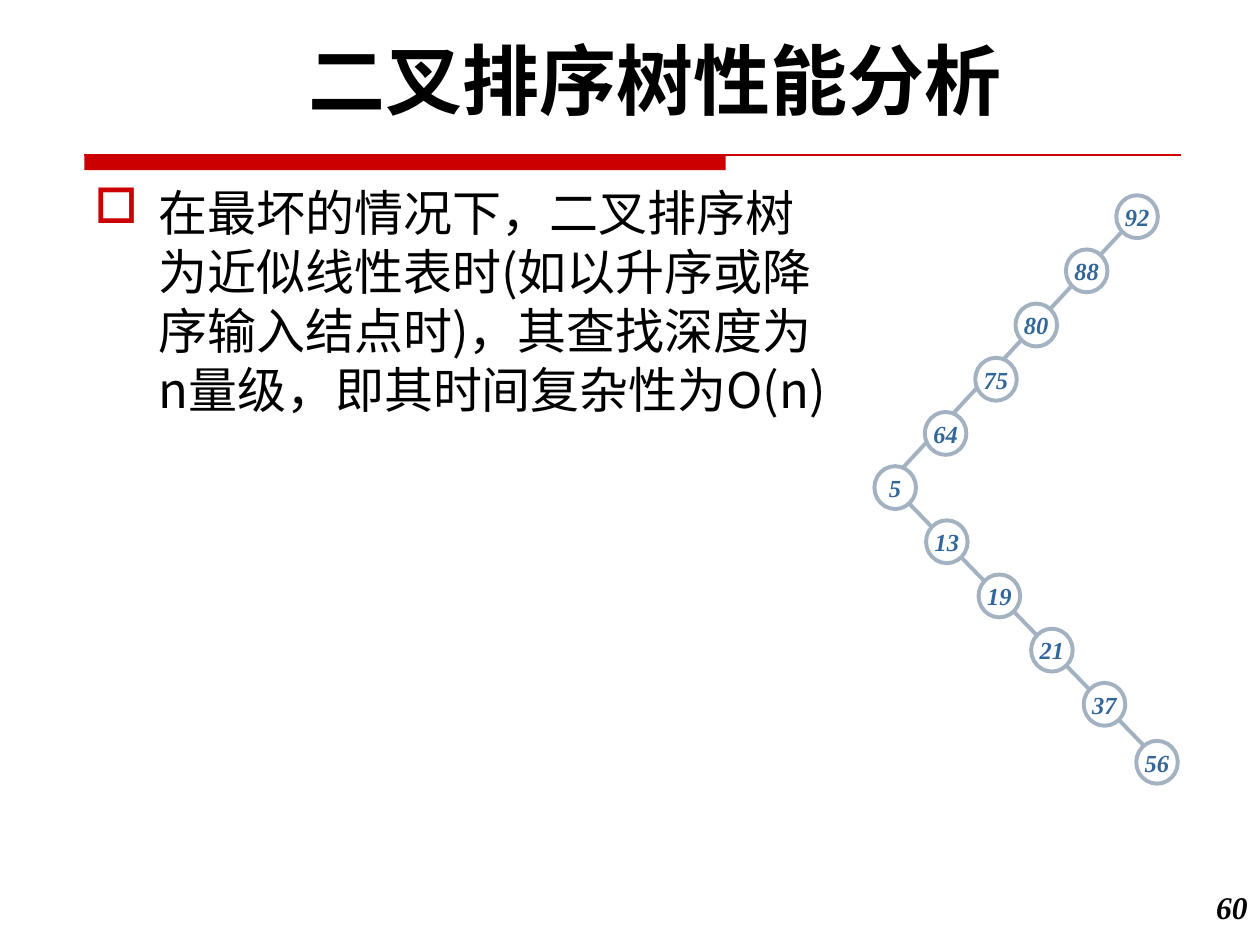
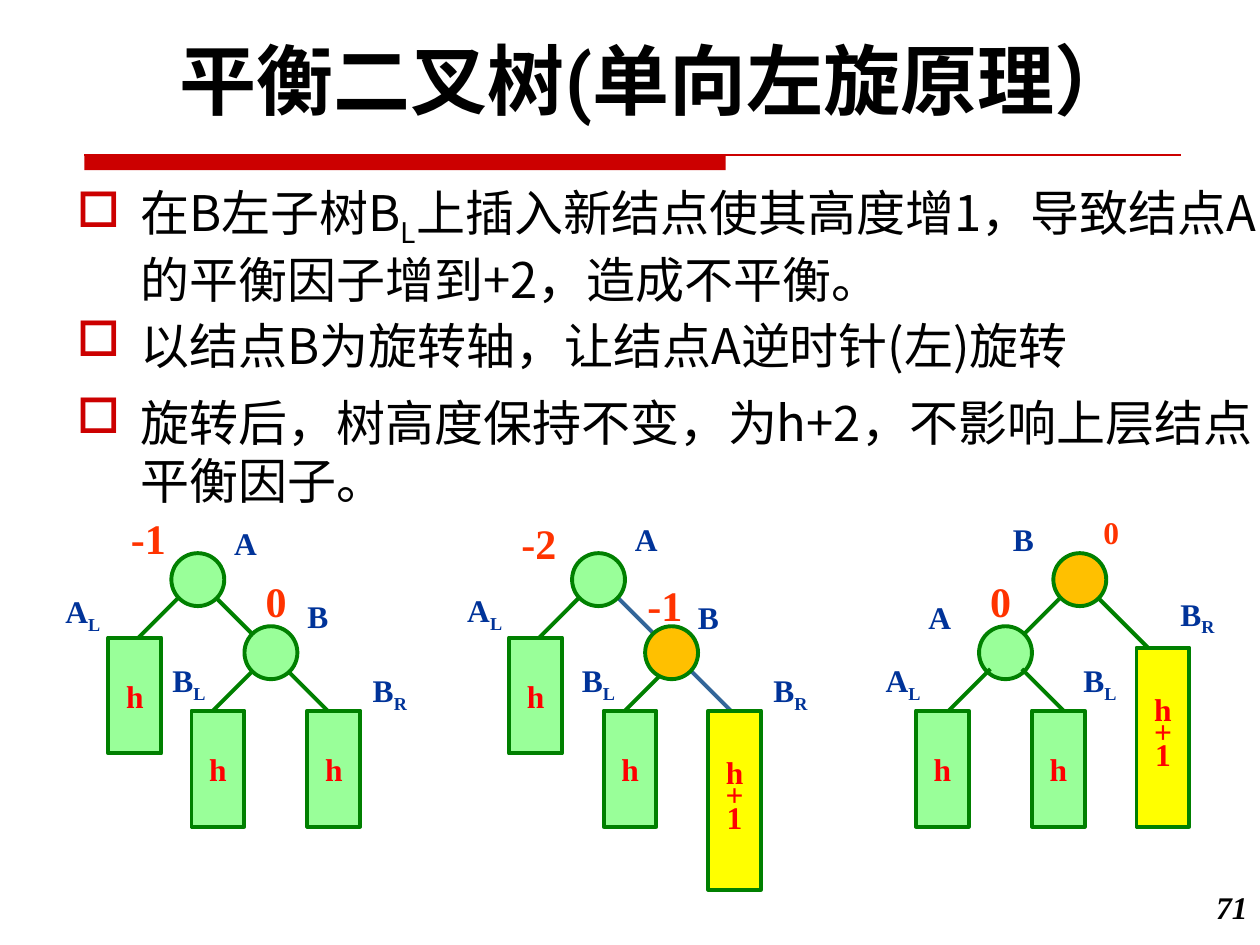
from lxml.etree import SubElement
from pptx import Presentation
from pptx.dml.color import RGBColor
from pptx.enum.shapes import MSO_CONNECTOR, MSO_SHAPE
from pptx.enum.text import MSO_ANCHOR, PP_ALIGN
from pptx.oxml.ns import qn
from pptx.util import Inches, Pt

RED = RGBColor(0xCC, 0x00, 0x00)
BLACK = RGBColor(0x00, 0x00, 0x00)
WHITE = RGBColor(0xFF, 0xFF, 0xFF)
GREY_BLUE = RGBColor(0xA3, 0xB2, 0xC1)
BLUE = RGBColor(0x33, 0x66, 0x99)
NAVY = RGBColor(0x00, 0x33, 0x99)
DARK_GREEN = RGBColor(0x00, 0x80, 0x00)
LIGHT_GREEN = RGBColor(0x99, 0xFF, 0x99)
ORANGE = RGBColor(0xFF, 0xC0, 0x00)
YELLOW = RGBColor(0xFF, 0xFF, 0x00)
SUBTREE_RED = RGBColor(0xFF, 0x00, 0x00)
FACTOR_RED = RGBColor(0xFF, 0x33, 0x00)

TITLE_FONT = "Roboto"
BODY_FONT = "Noto Sans CJK SC"
SERIF_FONT = "Times New Roman"

NODE_SIZE = 0.42
SUBTREE_HEIGHT = 0.92
TALL_SUBTREE_HEIGHT = 1.42

# Each chain is a list of (key, left, top) after its line (from x, y, to x, y).
DESCENDING_LINE = (8.94, 1.8, 7.01, 3.88)
DESCENDING_NODES = [(key, left, 1.55 + 0.43 * level) for level, (key, left) in enumerate(
    [("92", 8.86), ("88", 8.46), ("80", 8.06), ("75", 7.74), ("64", 7.34), ("5", 6.94)])]
ASCENDING_LINE = (7.18, 3.96, 9.09, 5.93)
ASCENDING_NODES = [(key, 7.35 + 0.417 * level, top) for level, (key, top) in enumerate(
    [("13", 4.13), ("19", 4.56), ("21", 4.99), ("37", 5.42), ("56", 5.88)])]

# Positions are relative to the tree's corner. Edges run at 45 degrees: (x, y, run, colour).
INSERTED_TREE = {
    "edges": [(1.27, 0.7, 0.5, DARK_GREEN), (1.85, 1.29, 0.5, DARK_GREEN),
              (1.02, 0.7, -0.42, DARK_GREEN), (1.6, 1.29, -0.42, DARK_GREEN)],
    "nodes": [(0.94, 0.37, LIGHT_GREEN), (1.52, 0.95, LIGHT_GREEN)],
    "subtrees": [(0.44, 1.04, "h"), (1.1, 1.62, "h"), (2.02, 1.62, "h")],
    "labels": [("A", 1.34, 0.09), ("B", 1.92, 0.67), ("BR", 2.44, 1.26),
               ("AL", 0, 0.63), ("BL", 0.85, 1.18)],
    "factors": [("-1", 0.52, 0, 24), ("0", 1.59, 0.5, 24)],
}
UNBALANCED_TREE = {
    "edges": [(1.77, 1.2, 0.5, BLUE), (1.77, 1.2, -0.42, DARK_GREEN),
              (1.01, 0.7, -0.42, DARK_GREEN), (1.18, 0.61, 0.5, BLUE)],
    "nodes": [(1.51, 0.95, ORANGE), (0.93, 0.37, LIGHT_GREEN)],
    "subtrees": [(1.18, 1.62, "h"), (0.43, 1.04, "h"), (2.01, 1.62, "h+1")],
    "labels": [("AL", 0, 0.62), ("A", 1.33, 0.06), ("B", 1.83, 0.68),
               ("BR", 2.43, 1.26), ("BL", 0.91, 1.18)],
    "factors": [("-2", 0.43, 0.04, 24), ("-1", 1.43, 0.53, 24)],
}
ROTATED_TREE = {
    "edges": [(1.68, 0.62, 0.5, DARK_GREEN), (1.51, 0.7, -0.42, DARK_GREEN)],
    "nodes": [(0.84, 0.95, LIGHT_GREEN), (1.43, 0.37, ORANGE)],
    "front_edges": [(0.93, 1.29, -0.42, DARK_GREEN), (1.18, 1.29, 0.5, DARK_GREEN)],
    "subtrees": [(0.34, 1.62, "h"), (1.26, 1.62, "h"), (2.09, 1.12, "h+1")],
    "labels": [("B", 1.01, 0.06), ("BR", 2.34, 0.65), ("A", 0.34, 0.68),
               ("AL", 0, 1.18), ("BL", 1.57, 1.18)],
    "factors": [("0", 0.83, 0.5, 24), ("0", 1.73, 0, 18)],
}


def add_run(paragraph, text, font_name, size, color, bold=False, italic=False, subscript=False):
    run = paragraph.add_run()
    run.text = text
    font = run.font
    font.name, font.size, font.bold, font.italic = font_name, Pt(size), bold, italic
    font.color.rgb = color
    properties = run._r.get_or_add_rPr()
    SubElement(properties, qn("a:ea")).set("typeface", font_name)
    if subscript:
        properties.set("baseline", "-25000")


def add_text_box(shapes, left, top, width, height, wrap=True, align=PP_ALIGN.LEFT):
    """Add an empty text box and return its text frame."""
    box = shapes.add_textbox(Inches(left), Inches(top), Inches(width), Inches(height))
    frame = box.text_frame
    frame.word_wrap = wrap
    frame.paragraphs[0].alignment = align
    return frame


def add_line(shapes, start_x, start_y, end_x, end_y, color, width=2.25):
    line = shapes.add_connector(MSO_CONNECTOR.STRAIGHT, Inches(start_x), Inches(start_y),
                                Inches(end_x), Inches(end_y))
    line.line.color.rgb = color
    line.line.width = Pt(width)
    SubElement(line._element.spPr, qn("a:effectLst"))


def add_figure(shapes, kind, left, top, width, height, fill, outline=None):
    """Add a preset shape and return its text frame, centred and unwrapped."""
    shape = shapes.add_shape(kind, Inches(left), Inches(top), Inches(width), Inches(height))
    shape.shadow.inherit = False
    shape.fill.solid()
    shape.fill.fore_color.rgb = fill
    if outline is None:
        shape.line.fill.background()
    else:
        shape.line.color.rgb = outline
        shape.line.width = Pt(2.25)
    frame = shape.text_frame
    frame.word_wrap = False
    frame.vertical_anchor = MSO_ANCHOR.MIDDLE
    return frame


def add_framed_slide(presentation, title, number):
    """Add a blank slide with the title, the red rule and the page number."""
    slide = presentation.slides.add_slide(presentation.slide_layouts[6])
    shapes = slide.shapes
    add_figure(shapes, MSO_SHAPE.RECTANGLE, 0.67, 1.23, 5.09, 0.12, RED)
    add_line(shapes, 0.67, 1.23, 9.37, 1.23, RED, 0.75)
    frame = add_text_box(shapes, 0.58, 0.21, 9.25, 0.84, align=PP_ALIGN.CENTER)
    add_run(frame.paragraphs[0], title, TITLE_FONT, 44, BLACK, bold=True)
    frame = add_text_box(shapes, 9.33, 7, 0.67, 0.5, align=PP_ALIGN.RIGHT)
    add_run(frame.paragraphs[0], number, SERIF_FONT, 18, BLACK, bold=True, italic=True)
    return slide


def add_bullet(shapes, left, top, width, height, parts):
    """Add one bulleted paragraph; every second part is a subscript."""
    frame = add_text_box(shapes, left, top, width, height)
    frame.margin_top = Inches(0.1)
    paragraph = frame.paragraphs[0]
    properties = paragraph._p.get_or_add_pPr()
    properties.set("marL", str(Inches(0.51)))
    properties.set("indent", str(-Inches(0.51)))
    bullet_color = SubElement(properties, qn("a:buClr"))
    SubElement(bullet_color, qn("a:srgbClr")).set("val", str(RED))
    SubElement(properties, qn("a:buChar")).set("char", "□")
    paragraph.line_spacing = Pt(33.7)
    for index, part in enumerate(parts):
        add_run(paragraph, part, BODY_FONT, 28, BLACK, subscript=index % 2 == 1)


def add_chain(slide, line, nodes):
    shapes = slide.shapes.add_group_shape().shapes
    add_line(shapes, *line, GREY_BLUE)
    for key, left, top in nodes:
        frame = add_figure(shapes, MSO_SHAPE.OVAL, left, top, 0.33, 0.34, WHITE, GREY_BLUE)
        paragraph = frame.paragraphs[0]
        paragraph.alignment = PP_ALIGN.CENTER
        add_run(paragraph, key, SERIF_FONT, 14, BLUE, bold=True, italic=True)


def add_edges(shapes, left, top, edges):
    for x, y, run, color in edges:
        add_line(shapes, left + x, top + y, left + x + run, top + y + abs(run), color)


def add_subtree(shapes, left, top, height_text):
    """Add a subtree block with its height written downwards."""
    tall = len(height_text) > 1
    frame = add_figure(shapes, MSO_SHAPE.RECTANGLE, left, top, NODE_SIZE,
                       TALL_SUBTREE_HEIGHT if tall else SUBTREE_HEIGHT,
                       YELLOW if tall else LIGHT_GREEN, DARK_GREEN)
    for index, character in enumerate(height_text):
        paragraph = frame.add_paragraph() if index else frame.paragraphs[0]
        paragraph.alignment = PP_ALIGN.CENTER
        if tall:
            paragraph.line_spacing = 0.6
        add_run(paragraph, character, SERIF_FONT, 18, SUBTREE_RED, bold=True)


def add_rotation_tree(slide, left, top, tree):
    shapes = slide.shapes.add_group_shape().shapes
    add_edges(shapes, left, top, tree["edges"])
    for x, y, fill in tree["nodes"]:
        add_figure(shapes, MSO_SHAPE.OVAL, left + x, top + y, NODE_SIZE, NODE_SIZE,
                   fill, DARK_GREEN)
    add_edges(shapes, left, top, tree.get("front_edges", []))
    for x, y, height_text in tree["subtrees"]:
        add_subtree(shapes, left + x, top + y, height_text)
    for name, x, y in tree["labels"]:
        frame = add_text_box(shapes, left + x, top + y, 0.27 + 0.11 * len(name), 0.4, wrap=False)
        for index, letter in enumerate(name):
            add_run(frame.paragraphs[0], letter, SERIF_FONT, 18, NAVY, bold=True,
                    subscript=index > 0)
    for factor, x, y, size in tree["factors"]:
        width = 0.2 + size / 144 + 0.11 * (len(factor) - 1)
        frame = add_text_box(shapes, left + x, top + y, width, 0.5 if size == 24 else 0.4,
                             wrap=False)
        add_run(frame.paragraphs[0], factor, SERIF_FONT, size, FACTOR_RED, bold=True)


def build_performance_slide(presentation):
    slide = add_framed_slide(presentation, "二叉排序树性能分析", "60")
    add_bullet(slide.shapes, 0.65, 1.35, 6.02, 4.42,
               ["在最坏的情况下，二叉排序树为近似线性表时(如以升序或降序输入结点时)，"
                "其查找深度为n量级，即其时间复杂性为O(n)"])
    add_chain(slide, ASCENDING_LINE, ASCENDING_NODES)
    add_chain(slide, DESCENDING_LINE, DESCENDING_NODES)


def build_rotation_slide(presentation):
    slide = add_framed_slide(presentation, "平衡二叉树(单向左旋原理）", "71")
    bullets = [
        (1.41, 1.05, ["在B左子树B", "L", "上插入新结点使其高度增1，导致结点A的平衡因子增到+2，造成不平衡。"]),
        (2.4, 0.66, ["以结点B为旋转轴，让结点A逆时针(左)旋转"]),
        (3.01, 0.68, ["旋转后，树高度保持不变，为h+2，不影响上层结点平衡因子。"]),
    ]
    for top, height, parts in bullets:
        add_bullet(slide.shapes, 0.51, top, 9.58, height, parts)
    for left, tree in [(0.42, INSERTED_TREE), (3.61, UNBALANCED_TREE), (6.93, ROTATED_TREE)]:
        add_rotation_tree(slide, left, 4.02, tree)


def main():
    presentation = Presentation()
    presentation.slide_width = Inches(10)
    presentation.slide_height = Inches(7.5)
    build_performance_slide(presentation)
    build_rotation_slide(presentation)
    presentation.save("out.pptx")


if __name__ == "__main__":
    main()
